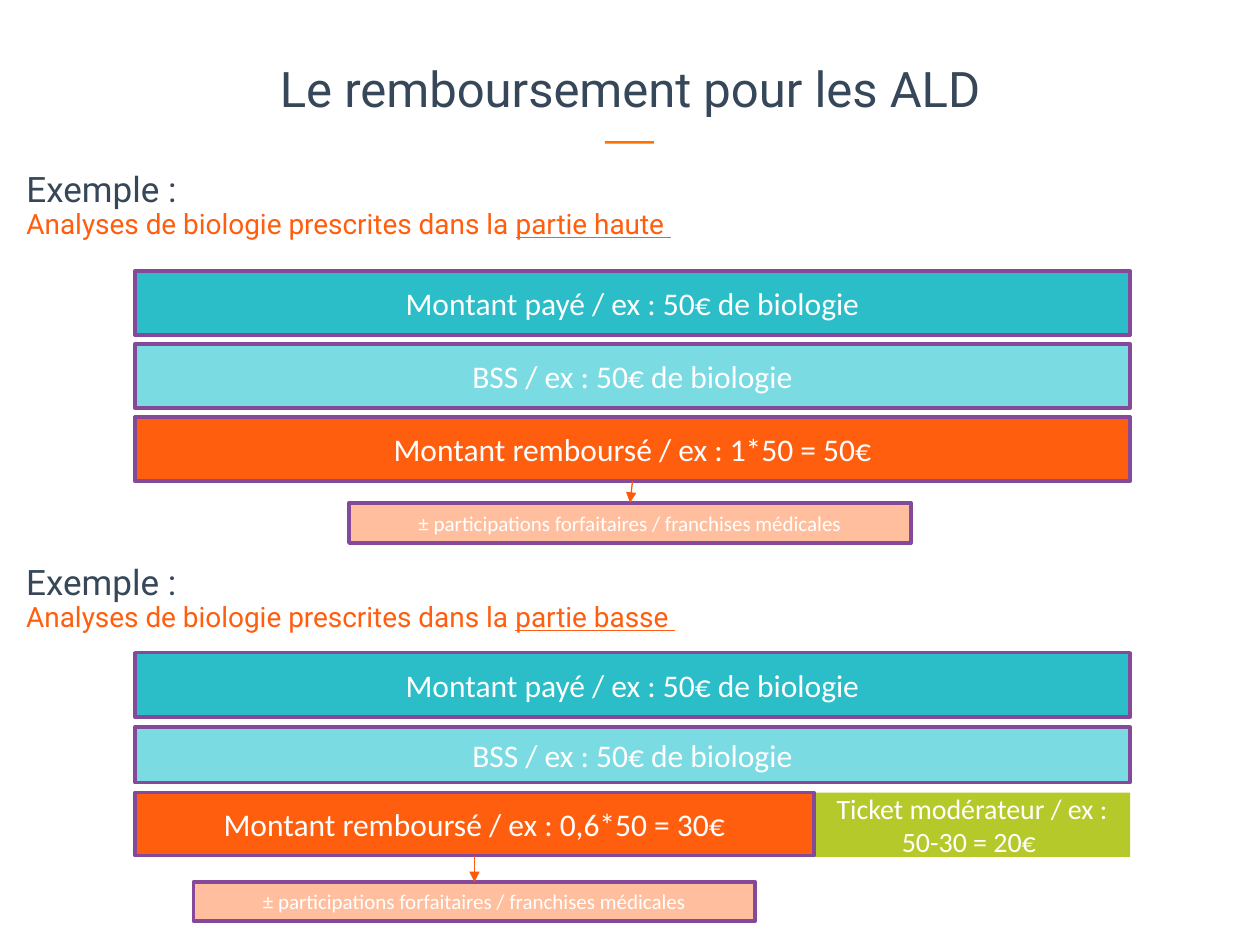
import pptx
import pptx.util
import pptx.dml.color
import pptx.enum.shapes
import pptx.enum.text
import pptx.oxml
import pptx.oxml.ns

Inch, Pt = pptx.util.Inches, pptx.util.Pt
Kind = pptx.enum.shapes.MSO_SHAPE
Anchor = pptx.enum.text.MSO_ANCHOR
Align = pptx.enum.text.PP_ALIGN

# Content
TITLE = "Le remboursement pour les ALD"
LEAD = "Exemple :"
INTRO = "Analyses de biologie prescrites dans la "
PAID = "Montant payé / ex : 50€ de biologie"
BASE = "BSS / ex : 50€ de biologie"
FEES = "± participations forfaitaires / franchises médicales"
HEX = dict(ink="354758", mark="FF7200", teal="2BBDC8", pale="7BDBE3",
           warm="FF5E0F", peach="FFBF9F", lime="B5C92A", edge="854999",
           arrow="FF5A09", white="FFFFFF")

# Grid: left edge and full width of the bars, width of the fee box
LEFT, FULL, FEE = 1.07, 7.9, 4.46
PART = 5.39

# Per example: heading top and end, bars (text, fill, left, top, width, height, size)
CASES = [
    dict(top=1.28, end="partie haute ", anchor=Anchor.MIDDLE, bars=[
        (PAID, "teal", LEFT, 2.15, FULL, 0.51, 18),
        (BASE, "pale", LEFT, 2.73, FULL, 0.51, 18),
        ("Montant remboursé / ex : 1*50 = 50€", "warm", LEFT, 3.31, FULL, 0.51, 18),
        (FEES, "peach", 5 - FEE / 2, 3.99, FEE, 0.32, 12)]),
    dict(top=4.44, end="partie basse ", anchor=Anchor.TOP, bars=[
        (PAID, "teal", LEFT, 5.18, FULL, 0.51, 18),
        (BASE, "pale", LEFT, 5.77, FULL, 0.44, 18),
        ("Ticket modérateur / ex : 50-30 = 20€ ", "lime",
         LEFT + PART, 6.29, FULL - PART, 0.51, 16),
        ("Montant remboursé / ex : 0,6*50 = 30€", "warm", LEFT, 6.29, PART, 0.5, 18),
        (FEES, "peach", LEFT + (PART - FEE) / 2, 7, FEE, 0.31, 12)]),
]


def tint(name):
    return pptx.dml.color.RGBColor.from_string(HEX[name])


def put(item, **form):
    for key, val in form.items():
        setattr(item, key, val)


def place(shape, *box):
    put(shape, **dict(zip(("left", "top", "width", "height"), map(Inch, box))))


def write(par, text, size, color, face, line=None):
    run = par.add_run()
    run.text = text
    put(run.font, size=Pt(size), name=face, underline=line)
    run.font.color.rgb = tint(color)


def head(shape, end, anchor):
    frame = shape.text_frame
    put(frame, word_wrap=True, vertical_anchor=anchor,
        auto_size=pptx.enum.text.MSO_AUTO_SIZE.NONE)
    rows = [[(LEAD, 20, "ink", "Roboto")],
            [(INTRO, 16, "warm", "Roboto"), (end, 16, "warm", "Roboto", True)]]
    for level, runs in enumerate(rows):
        par = frame.add_paragraph() if level else frame.paragraphs[0]
        put(par, level=level, line_spacing=0.9, space_before=Pt(0),
            space_after=Pt(0), alignment=Align.LEFT)
        # No bullet, no indent
        prop = par._p.get_or_add_pPr()
        prop.set("marL", "0")
        prop.set("indent", "0")
        prop.append(pptx.oxml.parse_xml(
            "<a:buNone %s/>" % pptx.oxml.ns.nsdecls("a")))
        for run in runs:
            write(par, *run)


def block(fill, *box):
    shape = slide.shapes.add_shape(Kind.RECTANGLE, *map(Inch, box))
    shape.shadow.inherit = False
    shape.fill.solid()
    shape.fill.fore_color.rgb = tint(fill)
    shape.line.fill.background()
    return shape


def bar(text, fill, left, top, wide, high, size):
    shape = block(fill, left, top, wide, high)
    if fill != "lime":
        shape.line.color.rgb = tint("edge")
        shape.line.width = Pt(2)
    put(shape.text_frame, word_wrap=True, vertical_anchor=Anchor.MIDDLE)
    par = shape.text_frame.paragraphs[0]
    par.alignment = Align.CENTER
    write(par, text, size, "white", "Calibri")


def arrow(*ends):
    line = slide.shapes.add_connector(
        pptx.enum.shapes.MSO_CONNECTOR.STRAIGHT, *map(Inch, ends))
    line.line.color.rgb = tint("arrow")
    line.line.width = Pt(0.75)
    space = pptx.oxml.ns.nsdecls("a")
    line.line._get_or_add_ln().append(
        pptx.oxml.parse_xml('<a:tailEnd %s type="triangle"/>' % space))
    line._element.spPr.append(pptx.oxml.parse_xml("<a:effectLst %s/>" % space))


deck = pptx.Presentation()
put(deck, slide_width=Inch(10), slide_height=Inch(7.5))
slide = deck.slides.add_slide(deck.slide_layouts[1])

# Title and its rule
title, body = slide.shapes.title, slide.placeholders[1]
place(title, 0.69, 0.41, 8.62, 0.57)
put(title.text_frame, word_wrap=True, vertical_anchor=Anchor.BOTTOM,
    auto_size=pptx.enum.text.MSO_AUTO_SIZE.NONE)
title.text_frame.paragraphs[0].alignment = Align.CENTER
write(title.text_frame.paragraphs[0], TITLE, 28, "ink", "Roboto")
block("mark", 4.8, 1.12, 0.39, 0.02)

# Both examples: heading, bars, arrow from the refund to the fees
for rank, case in enumerate(CASES):
    shape = slide.shapes.add_textbox(0, 0, 0, 0) if rank else body
    place(shape, 0.11, case["top"], 9.53, 0.72)
    head(shape, case["end"], case["anchor"])
    for item in case["bars"]:
        bar(*item)
    (_, _, x, y, wide, high, _), (_, _, left, low, span, _, _) = case["bars"][-2:]
    arrow(x + wide / 2, y + high, left + span / 2, low)

deck.save("out.pptx")
